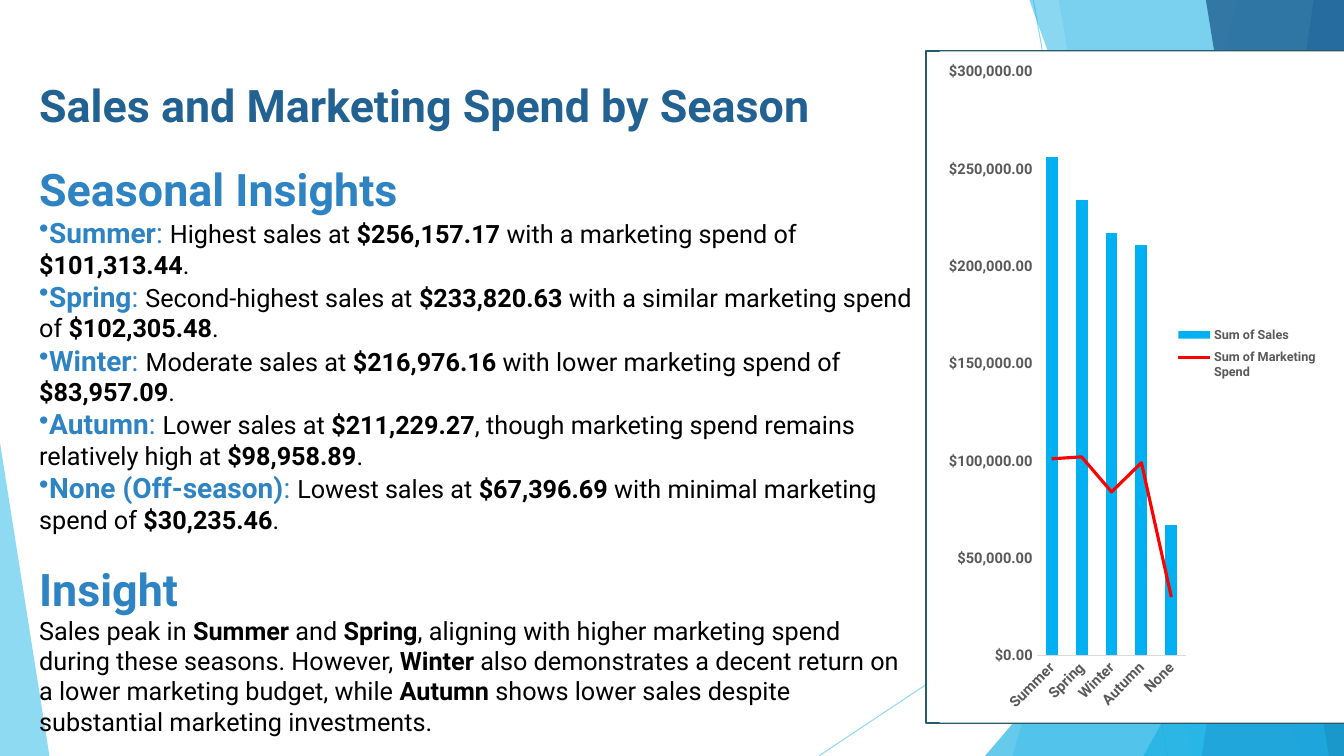
from dataclasses import dataclass

from pptx import Presentation
from pptx.chart.data import CategoryChartData
from pptx.dml.color import RGBColor as Rgb
from pptx.enum.chart import XL_CHART_TYPE as ChartType
from pptx.enum.chart import XL_LEGEND_POSITION as LegendSide
from pptx.enum.chart import XL_MARKER_STYLE as Marker
from pptx.enum.chart import XL_TICK_MARK as Tick
from pptx.enum.shapes import MSO_CONNECTOR as Connector
from pptx.enum.shapes import MSO_SHAPE as Preset
from pptx.enum.text import MSO_AUTO_SIZE as AutoSize
from pptx.oxml import parse_xml
from pptx.oxml.ns import nsdecls, qn
from pptx.oxml.xmlchemy import OxmlElement
from pptx.util import Inches, Pt


@dataclass(frozen=True)
class Theme:
    font: str = "Roboto"
    navy: str = "226292"
    blue: str = "2E83C3"
    cyan: str = "17B0E4"
    sky: str = "5FCBEF"
    frame: str = "2A5969"
    ink: str = "000000"
    paper: str = "FFFFFF"
    label: str = "595959"
    rule: str = "D9D9D9"
    sales: str = "00B0F0"
    spend: str = "FF0000"
    heading: float = 32
    season: float = 20
    body: float = 18
    axis: float = 10.5
    legend: float = 9


theme = Theme()


def write(paragraph, text, size=theme.body, colour=theme.ink, bold=False):
    for position, part in enumerate(text.split("**")):
        if part:
            run = paragraph.add_run()
            run.text = part
            run.font.name = theme.font
            run.font.size = Pt(size)
            run.font.bold = bold or position % 2 == 1
            run.font.color.rgb = Rgb.from_string(colour)


def tint(fill, colour, owner, opacity):
    fill.solid()
    fill.fore_color.rgb = Rgb.from_string(colour)
    alpha = OxmlElement("a:alpha")
    alpha.set("val", str(opacity * 1000))
    owner.xpath(".//a:srgbClr")[0].append(alpha)


deck = Presentation()
deck.slide_width, deck.slide_height = Inches(13.33), Inches(7.5)
col, row = deck.slide_width / 100, deck.slide_height / 100
slide = deck.slides.add_slide(deck.slide_layouts[6])
shapes = slide.shapes

for x1, y1, x2, y2 in [(76.89, 0, 86.87, 100), (100, 53.73, 60.92, 100)]:
    ray = shapes.add_connector(
        Connector.STRAIGHT, int(x1 * col), int(y1 * row), int(x2 * col), int(y2 * row)
    )
    ray.line.width = Pt(0.75)
    properties = ray._element.spPr
    tint(ray.line.fill, theme.sky, properties, 70)
    properties.append(OxmlElement("a:effectLst"))

facets = [
    ("band", theme.sky, 36, (92.12, 75.32)),
    ("band", theme.sky, 20, (78.77, 88.75)),
    ("peak", theme.cyan, 66, (73.29, 44.4, 26.71, 1)),
    ("band", theme.cyan, 50, (76.59, 96.85)),
    ("band", theme.blue, 70, (97.75, 89.42)),
    ("band", theme.navy, 80, (89.72, 98.87)),
    ("peak", theme.cyan, 66, (85.07, 52.4, 14.93, 1)),
    ("peak", theme.sky, 70, (0, 58.53, 3.68, 0)),
]
for kind, colour, opacity, place in facets:
    if kind == "band":
        top, bottom = place
        outline = shapes.build_freeform(int(top * col), 0)
        outline.add_line_segments(
            [(int(x * col), int(y * row)) for x, y in [(100, 0), (100, 100), (bottom, 100)]]
        )
        facet = outline.convert_to_shape()
    else:
        left, top, width, apex = place
        facet = shapes.add_shape(
            Preset.ISOSCELES_TRIANGLE,
            int(left * col), int(top * row), int(width * col), int((100 - top) * row),
        )
        facet.adjustments[0] = apex
    facet.shadow.inherit = False
    facet.line.fill.background()
    tint(facet.fill, colour, facet._element.spPr, opacity)

panel_top, panel_height = int(6.8 * row), int(88.8 * row)
panel = shapes.add_shape(
    Preset.RECTANGLE, int(68.87 * col), panel_top, int(31.13 * col), panel_height
)
panel.shadow.inherit = False
panel.fill.solid()
panel.fill.fore_color.rgb = Rgb.from_string(theme.paper)
panel.line.color.rgb = Rgb.from_string(theme.frame)
panel.line.width = Pt(1.5)

story = shapes.add_textbox(
    int(2.18 * col), int(9.6 * row), int(66.69 * col), panel_height
).text_frame
story.word_wrap = True
story.auto_size = AutoSize.SHAPE_TO_FIT_TEXT
write(story.paragraphs[0], "Sales and Marketing Spend by Season",
      size=theme.heading, colour=theme.navy, bold=True)

insights = story.add_paragraph()
insights.space_before = Pt(21.6)
write(insights, "Seasonal Insights", size=theme.heading, colour=theme.blue, bold=True)

findings = {
    "Summer": "Highest sales at **$256,157.17** with a marketing spend of **$101,313.44**.",
    "Spring": "Second-highest sales at **$233,820.63** with a similar marketing spend of **$102,305.48**.",
    "Winter": "Moderate sales at **$216,976.16** with lower marketing spend of **$83,957.09**.",
    "Autumn": "Lower sales at **$211,229.27**, though marketing spend remains relatively high at **$98,958.89**.",
    "None (Off-season)": "Lowest sales at **$67,396.69** with minimal marketing spend of **$30,235.46**.",
}
for season, finding in findings.items():
    entry = story.add_paragraph()
    layout = entry._p.get_or_add_pPr()
    layout.set("marL", "0")
    layout.set("indent", "0")
    bullet = OxmlElement("a:buChar")
    bullet.set("char", "•")
    layout.append(bullet)
    write(entry, f"**{season}**: ", size=theme.season, colour=theme.blue)
    write(entry, finding)

conclusion = story.add_paragraph()
conclusion.space_before = Pt(19.2)
write(conclusion, "Insight", size=theme.heading, colour=theme.blue, bold=True)
conclusion.add_line_break()
write(conclusion,
      "Sales peak in **Summer** and **Spring**, aligning with higher marketing spend during "
      "these seasons. However, **Winter** also demonstrates a decent return on a lower marketing "
      "budget, while **Autumn** shows lower sales despite substantial marketing investments.")

figures = CategoryChartData(number_format='"$"#,##0.00')
figures.categories = ["Summer", "Spring", "Winter", "Autumn", "None"]
figures.add_series("Sum of Sales", [256000, 234000, 217000, 211000, 67000])
figures.add_series("Sum of Marketing Spend", [101000, 102000, 84000, 99000, 30000])
chart = shapes.add_chart(
    ChartType.COLUMN_CLUSTERED, int(69.92 * col), panel_top, int(30.08 * col), panel_height, figures
).chart
chart.has_title = False
chart.font.name = theme.font
chart.font.size = Pt(10)
chart.has_legend = True
chart.legend.position = LegendSide.RIGHT
chart.legend.include_in_layout = False

seasons, dollars = chart.category_axis, chart.value_axis
dollars.minimum_scale, dollars.maximum_scale, dollars.major_unit = 0, 300000, 50000
dollars.has_major_gridlines = False
dollars.tick_labels.number_format = '"$"#,##0.00'
dollars.tick_labels.number_format_is_linked = False
dollars.format.line.fill.background()
seasons.format.line.color.rgb = Rgb.from_string(theme.rule)
seasons.format.line.width = Pt(0.75)
for axis in (seasons, dollars):
    axis.major_tick_mark = axis.minor_tick_mark = Tick.NONE
for lettering, size in [
    (seasons.tick_labels.font, theme.axis),
    (dollars.tick_labels.font, theme.axis),
    (chart.legend.font, theme.legend),
]:
    lettering.name, lettering.size, lettering.bold = theme.font, Pt(size), True
    lettering.color.rgb = Rgb.from_string(theme.label)

space = chart._chartSpace
space.xpath(".//c:catAx/c:txPr/a:bodyPr")[0].set("rot", "-2700000")
columns = space.xpath(".//c:barChart")[0]
spend_series = columns.findall(qn("c:ser"))[1]
for flag in spend_series.findall(qn("c:invertIfNegative")):
    spend_series.remove(flag)
trend = parse_xml(f'<c:lineChart {nsdecls("c")}><c:grouping val="standard"/>'
                  '<c:varyColors val="0"/><c:marker val="1"/></c:lineChart>')
trend.insert(2, spend_series)
for axis in columns.findall(qn("c:axId")):
    trend.append(parse_xml(f'<c:axId {nsdecls("c")} val="{axis.get("val")}"/>'))
columns.addnext(trend)

bars, line = chart.plots
bars.gap_width = 150
bars.vary_by_categories = False
bars.series[0].format.fill.solid()
bars.series[0].format.fill.fore_color.rgb = Rgb.from_string(theme.sales)
spend = line.series[0]
spend.smooth = False
spend.marker.style = Marker.NONE
spend.format.line.color.rgb = Rgb.from_string(theme.spend)
spend.format.line.width = Pt(2.25)

for part, target, (x, y, w, h) in [
    ("plotArea", '<c:layoutTarget val="inner"/>', (0.24, 0.03, 0.37, 0.87)),
    ("legend", "", (0.59, 0.4, 0.34, 0.1)),
]:
    owner = space.xpath(f".//c:{part}")[0]
    for automatic in owner.findall(qn("c:layout")):
        owner.remove(automatic)
    owner.insert(0 if part == "plotArea" else 1, parse_xml(
        f'<c:layout {nsdecls("c")}><c:manualLayout>{target}<c:xMode val="edge"/>'
        f'<c:yMode val="edge"/><c:x val="{x}"/><c:y val="{y}"/><c:w val="{w}"/>'
        f'<c:h val="{h}"/></c:manualLayout></c:layout>'))
space.find(qn("c:chart")).addnext(parse_xml(
    f'<c:spPr {nsdecls("c", "a")}><a:solidFill><a:srgbClr val="{theme.paper}"/></a:solidFill>'
    '<a:ln><a:noFill/></a:ln></c:spPr>'))

deck.save("out.pptx")
